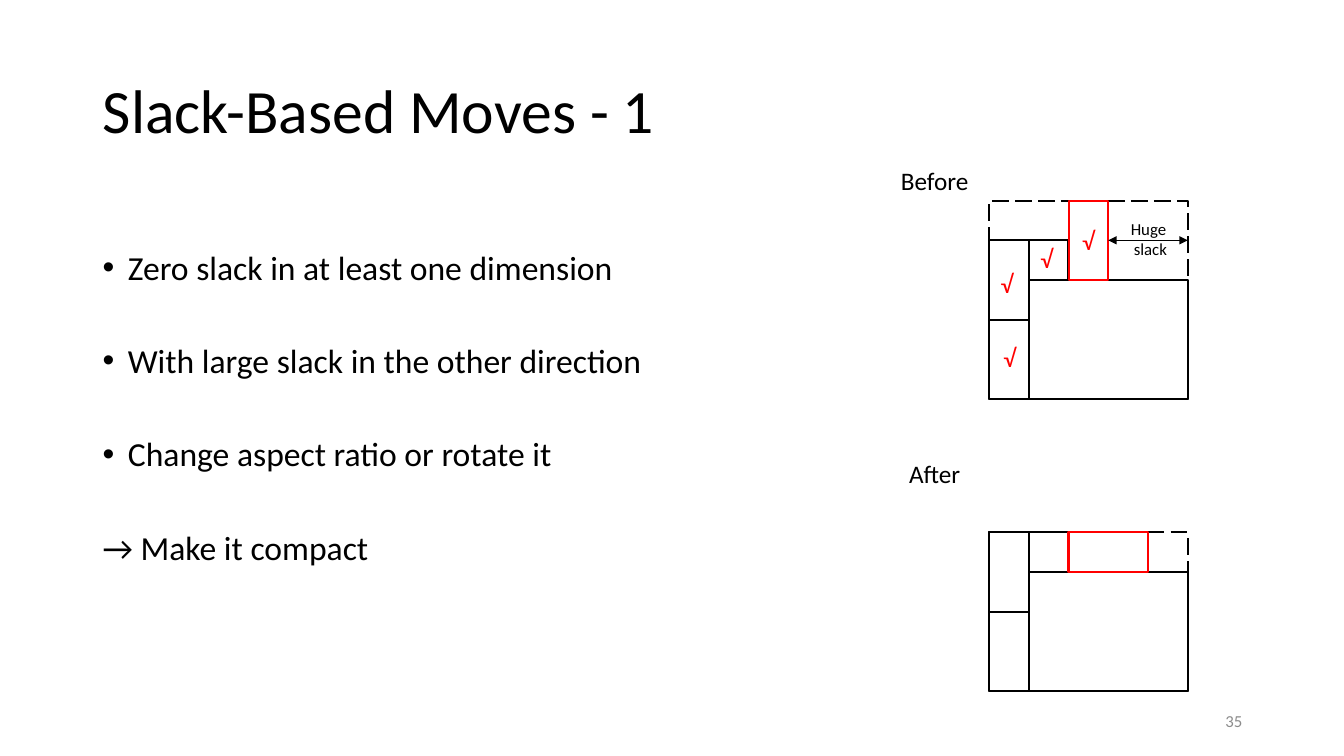
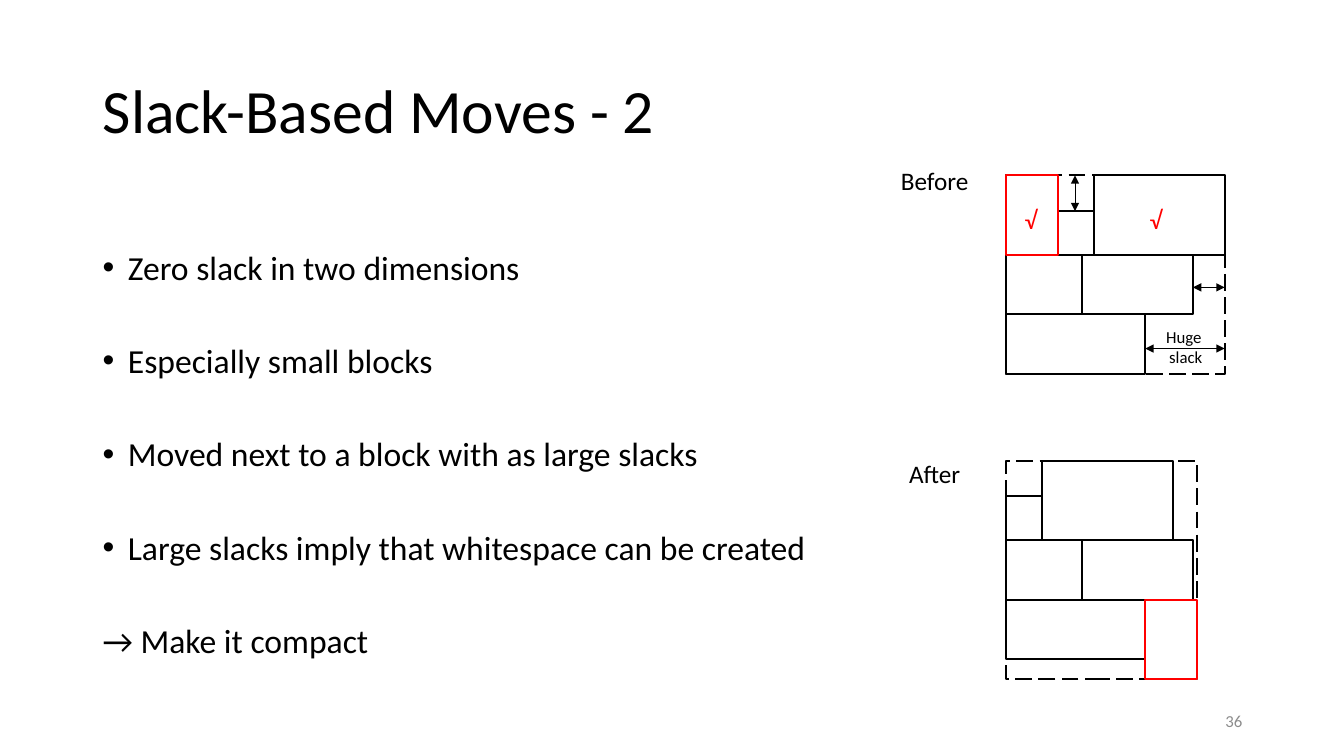
from lxml import etree
from pptx import Presentation
from pptx.dml.color import RGBColor
from pptx.enum import dml, shapes, text
from pptx.oxml import ns
from pptx.util import Inches, Pt

FONT = "Calibri"
BLACK, RED, GREY = "000000", "FF0000", "8C8C8C"
UNIT = 1.97 / 5
TITLE_BOX = (0.92, 0.4, 11.5, 1.45)
BODY_BOX = (0.92, 2, 8.07, 4.76)
NUMBER_BOX = (9.42, 6.95, 3, 0.4)
CAPTION_LEFT, CAPTION_WIDTH = 8.8, 0.94
CAPTION_TOPS = {"Before": 1.59, "After": 4.5}
TICK_SIZE = (0.83, 0.4)
SLACK_SIZE = (1.12, 0.5)

SLIDES = [
    {
        "number": 35,
        "title": "Slack-Based Moves - 1",
        "points": [
            "Zero slack in at least one dimension",
            "With large slack in the other direction",
            "Change aspect ratio or rotate it",
        ],
        "plans": [
            {
                "caption": "Before",
                "origin": (9.81, 1.99),
                "outline": (5, 5),
                "blocks": [(0, 1, 1, 2), (0, 3, 1, 2), (1, 1, 1, 1), (1, 2, 4, 3)],
                "moved": (2, 0, 1, 2),
                "ticks": [(2.5, 1), (0.45, 2.1), (1.45, 1.47), (0.52, 3.95)],
                "arrows": [(3, 1, 5, 1)],
                "slack": (4.06, 0.96),
            },
            {
                "caption": "After",
                "origin": (9.81, 5.28),
                "outline": (5, 4),
                "blocks": [(0, 0, 1, 2), (0, 2, 1, 2), (1, 0, 1, 1), (1, 1, 4, 3)],
                "moved": (2, 0, 2, 1),
            },
        ],
    },
    {
        "number": 36,
        "title": "Slack-Based Moves - 2",
        "points": [
            "Zero slack in two dimensions",
            "Especially small blocks",
            "Moved next to a block with as large slacks",
            "Large slacks imply that whitespace can be created",
        ],
        "plans": [
            {
                "caption": "Before",
                "origin": (9.98, 1.74),
                "outline": (5.5, 5),
                "blocks": [(1.3, 0.9, 0.9, 1.1), (2.2, 0, 3.3, 2), (0, 2, 1.9, 1.5),
                           (1.9, 2, 2.8, 1.5), (0, 3.5, 3.5, 1.5)],
                "moved": (0, 0, 1.3, 2),
                "ticks": [(0.62, 1.12), (3.77, 1.12)],
                "arrows": [(3.5, 4.36, 5.5, 4.36), (4.7, 2.82, 5.5, 2.82),
                           (1.73, 0.9, 1.73, 0)],
                "slack": (4.52, 4.31),
            },
            {
                "caption": "After",
                "origin": (9.98, 4.57),
                "outline": (4.8, 5.5),
                "blocks": [(0, 0.9, 0.9, 1.1), (0.9, 0, 3.3, 2), (0, 2, 1.9, 1.5),
                           (1.9, 2, 2.8, 1.5), (0, 3.5, 3.5, 1.5)],
                "moved": (3.5, 3.5, 1.3, 2),
            },
        ],
    },
]


def rgb(value):
    return RGBColor.from_string(value)


def inches(values):
    return [Inches(value) for value in values]


def style(paragraph, size, color, align):
    paragraph.font.name = FONT
    paragraph.font.size = Pt(size)
    paragraph.font.color.rgb = rgb(color)
    paragraph.alignment = align


def add_label(slide, box, lines, size, color=BLACK,
              align=text.PP_ALIGN.CENTER, anchor=text.MSO_ANCHOR.TOP):
    frame = slide.shapes.add_textbox(*inches(box)).text_frame
    frame.word_wrap = True
    frame.vertical_anchor = anchor
    frame.text = "\n".join(lines)
    for paragraph in frame.paragraphs:
        style(paragraph, size, color, align)
    return frame


def add_bullet(paragraph):
    properties = paragraph._p.get_or_add_pPr()
    properties.set("marL", str(Inches(0.25)))
    properties.set("indent", str(-Inches(0.25)))
    font = etree.SubElement(properties, ns.qn("a:buFont"))
    font.set("typeface", "Arial")
    etree.SubElement(properties, ns.qn("a:buChar")).set("char", "•")


def add_title(slide, title):
    holder = slide.shapes.title
    holder.left, holder.top, holder.width, holder.height = inches(TITLE_BOX)
    frame = holder.text_frame
    frame.text = title
    frame.auto_size = text.MSO_AUTO_SIZE.NONE
    frame.vertical_anchor = text.MSO_ANCHOR.MIDDLE
    heading = frame.paragraphs[0]
    style(heading, 44, BLACK, text.PP_ALIGN.LEFT)
    heading.line_spacing = 0.9


def add_body(slide, points):
    frame = add_label(slide, BODY_BOX, points + ["→ Make it compact"], 24,
                      align=text.PP_ALIGN.LEFT)
    for paragraph in frame.paragraphs:
        paragraph.line_spacing = 2.0
        paragraph.space_before = Pt(9)
    for paragraph in frame.paragraphs[:-1]:
        add_bullet(paragraph)


def add_block(slide, box, color=BLACK, dash=None):
    block = slide.shapes.add_shape(shapes.MSO_SHAPE.RECTANGLE, *inches(box))
    block.shadow.inherit = False
    block.fill.background()
    block.line.color.rgb = rgb(color)
    block.line.width = Pt(1.5)
    if dash:
        block.line.dash_style = dash


def add_slack_arrow(slide, ends):
    arrow = slide.shapes.add_connector(shapes.MSO_CONNECTOR.STRAIGHT, *inches(ends))
    arrow.line.color.rgb = rgb(BLACK)
    arrow.line.width = Pt(0.5)
    line = arrow.line._get_or_add_ln()
    for end in ("a:headEnd", "a:tailEnd"):
        etree.SubElement(line, ns.qn(end)).set("type", "triangle")
    etree.SubElement(arrow._element.spPr, ns.qn("a:effectLst"))


def add_floorplan(slide, plan):
    left, top = plan["origin"]

    def point(x, y):
        return left + x * UNIT, top + y * UNIT

    def cell(x, y, width, height):
        return *point(x, y), width * UNIT, height * UNIT

    def centred(center, size):
        x, y = point(*center)
        width, height = size
        return x - width / 2, y - height / 2, width, height

    add_block(slide, cell(0, 0, *plan["outline"]), dash=dml.MSO_LINE.LONG_DASH)
    for block in plan["blocks"]:
        add_block(slide, cell(*block))
    add_block(slide, cell(*plan["moved"]), RED)
    for x1, y1, x2, y2 in plan.get("arrows", []):
        add_slack_arrow(slide, point(x1, y1) + point(x2, y2))
    for tick in plan.get("ticks", []):
        add_label(slide, centred(tick, TICK_SIZE), ["√"], 18, RED)
    if "slack" in plan:
        add_label(slide, centred(plan["slack"], SLACK_SIZE), ["Huge ", "slack"], 12)
    caption = plan["caption"]
    caption_box = (CAPTION_LEFT, CAPTION_TOPS[caption], CAPTION_WIDTH, 0.4)
    add_label(slide, caption_box, [caption], 18)


def add_moves_slide(deck, content):
    slide = deck.slides.add_slide(deck.slide_layouts.get_by_name("Title Only"))
    add_title(slide, content["title"])
    add_body(slide, content["points"])
    for plan in content["plans"]:
        add_floorplan(slide, plan)
    add_label(slide, NUMBER_BOX, [str(content["number"])], 12, GREY,
              text.PP_ALIGN.RIGHT, text.MSO_ANCHOR.MIDDLE)


def main():
    deck = Presentation()
    deck.slide_width, deck.slide_height = Inches(13.33), Inches(7.5)
    for content in SLIDES:
        add_moves_slide(deck, content)
    deck.save("out.pptx")


if __name__ == "__main__":
    main()
